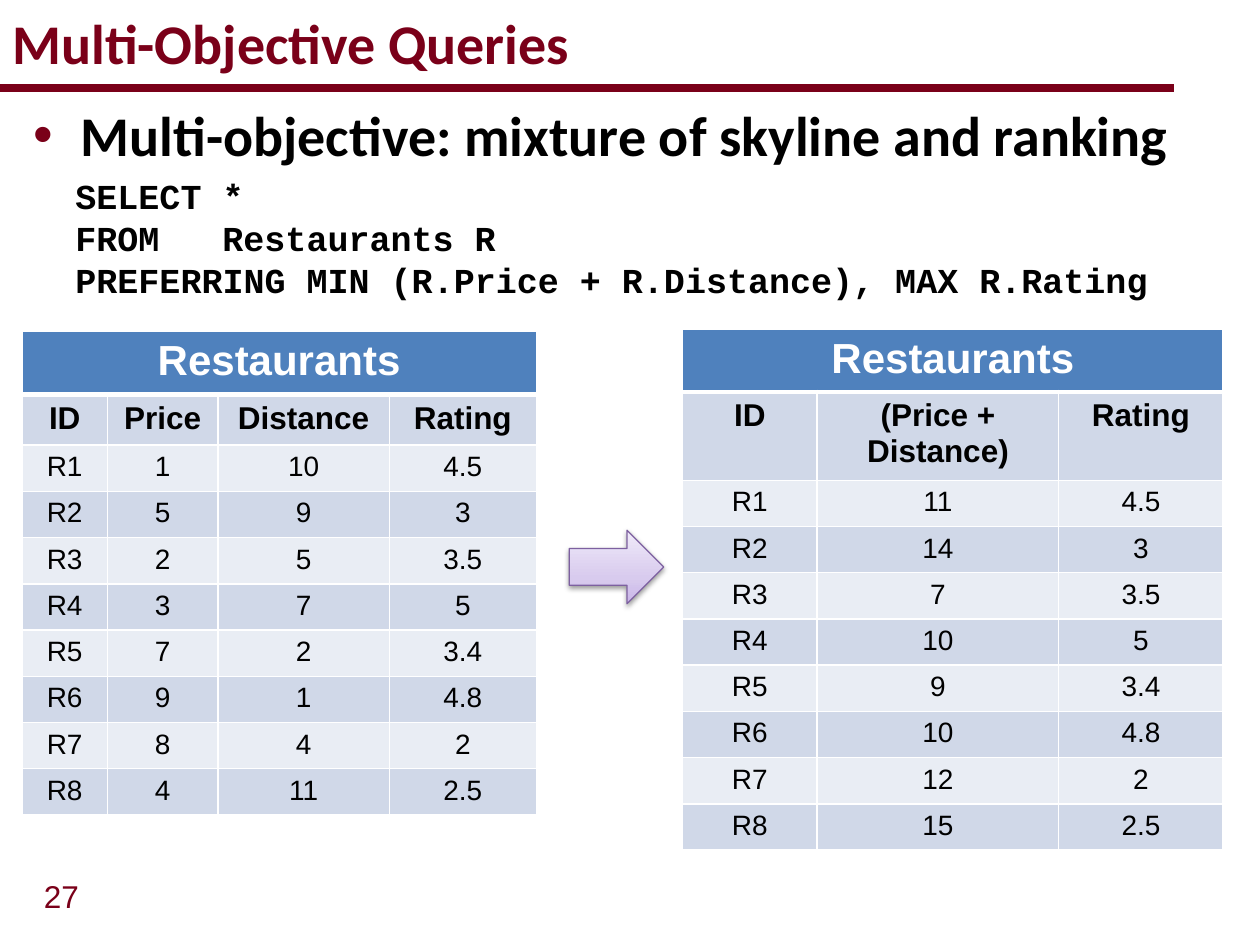
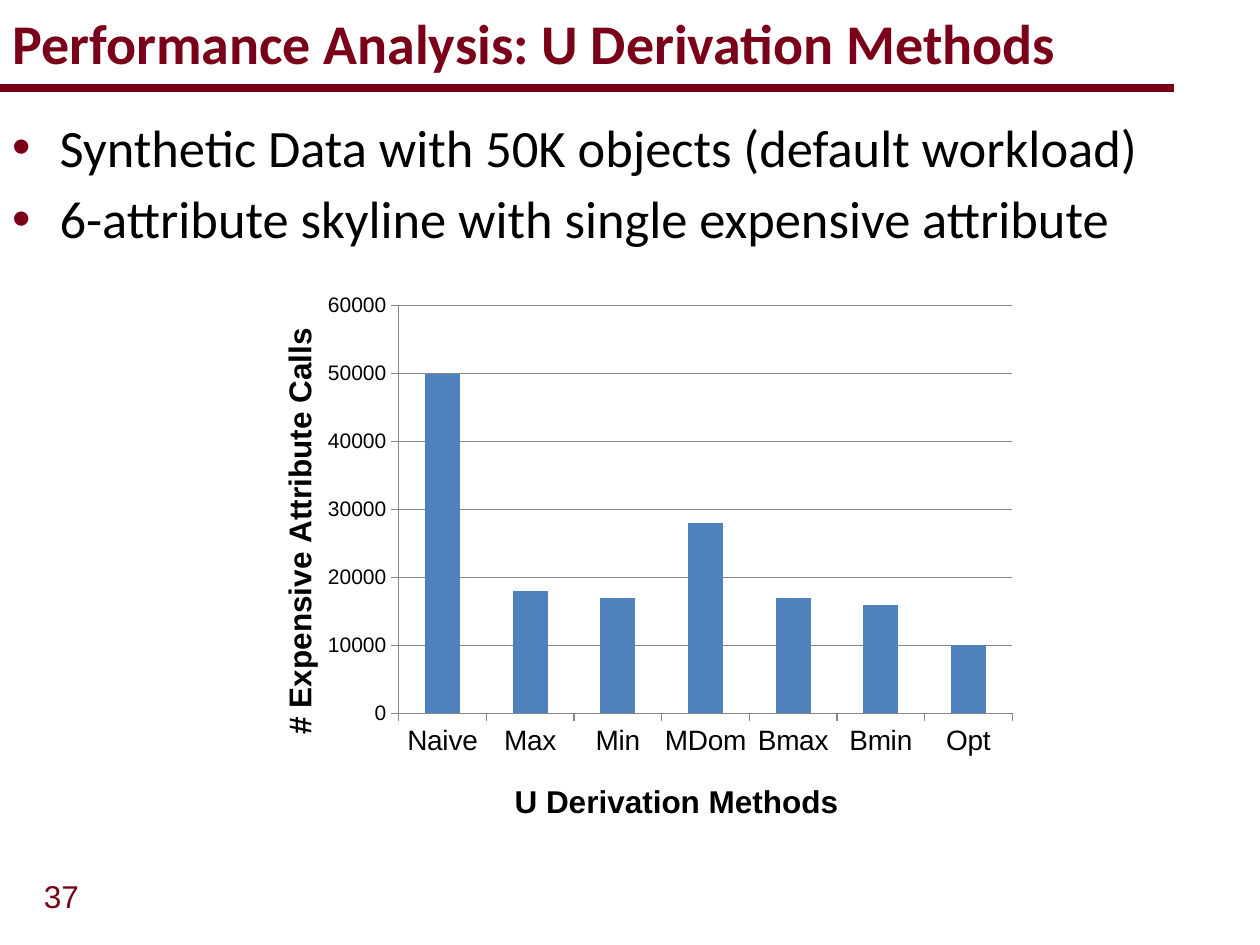
"""Build two slides on skyline queries: a table comparison and a bar chart."""
from copy import deepcopy

from lxml import etree
from pptx import Presentation
from pptx.chart.data import CategoryChartData
from pptx.dml.color import RGBColor
from pptx.enum.chart import XL_CHART_TYPE, XL_TICK_MARK
from pptx.enum.shapes import MSO_CONNECTOR, MSO_SHAPE
from pptx.enum.text import MSO_ANCHOR, PP_ALIGN
from pptx.oxml.ns import qn
from pptx.util import Pt

COLUMN_CHART = XL_CHART_TYPE.COLUMN_CLUSTERED
TICK_OUTSIDE = XL_TICK_MARK.OUTSIDE
STRAIGHT = MSO_CONNECTOR.STRAIGHT
RIGHT_ARROW = MSO_SHAPE.RIGHT_ARROW
TOP, MIDDLE = MSO_ANCHOR.TOP, MSO_ANCHOR.MIDDLE
CENTER = PP_ALIGN.CENTER

MAROON = RGBColor(0x7A, 0x00, 0x19)
BLACK = RGBColor(0x00, 0x00, 0x00)
WHITE = RGBColor(0xFF, 0xFF, 0xFF)
BLUE = RGBColor(0x4F, 0x81, 0xBD)
BAND_DARK = RGBColor(0xD0, 0xD8, 0xE8)
BAND_LIGHT = RGBColor(0xE9, 0xED, 0xF4)
GRAY = RGBColor(0x86, 0x86, 0x86)
PURPLE = RGBColor(0x7D, 0x60, 0xA0)
ARROW_STOPS = [
    (0, RGBColor(0xC9, 0xB5, 0xE8)),
    (0.35, RGBColor(0xD8, 0xCB, 0xEE)),
    (1, RGBColor(0xF0, 0xEA, 0xF9)),
]

TITLE = {"name": "Calibri", "size": Pt(32), "bold": True}
HEADLINE = {"name": "Calibri", "size": Pt(32), "bold": True}
BODY = {"name": "Calibri", "size": Pt(30), "bold": False}
CODE = {"name": "Courier New", "size": Pt(20), "bold": True}
NUMBER = {"name": "Arial", "size": Pt(18), "bold": False}
TABLE_TITLE = {"name": "Arial", "size": Pt(24), "bold": True}
TABLE_HEAD = {"name": "Arial", "size": Pt(18), "bold": True}
TABLE_CELL = {"name": "Arial", "size": Pt(16), "bold": False}


def add_text(slide, box, lines, style, color=BLACK, anchor=TOP, wrap=True, bullet=False):
    """Add a text box with one paragraph per line."""
    frame = slide.shapes.add_textbox(*map(Pt, box)).text_frame
    frame.word_wrap = wrap
    frame.vertical_anchor = anchor
    for index, line in enumerate(lines):
        paragraph = frame.add_paragraph() if index else frame.paragraphs[0]
        run = paragraph.add_run()
        run.text = line
        run.font.color.rgb = color
        for name, value in style.items():
            setattr(run.font, name, value)
        if bullet:
            paragraph.space_before = Pt(5)
            properties = paragraph._p.get_or_add_pPr()
            properties.set("marL", str(Pt(27)))
            properties.set("indent", str(-Pt(27)))
            bullet_color = etree.SubElement(properties, qn("a:buClr"))
            etree.SubElement(bullet_color, qn("a:srgbClr"), val=str(MAROON))
            etree.SubElement(properties, qn("a:buFont"), typeface="Arial")
            etree.SubElement(properties, qn("a:buChar"), char="•")


def set_layout(parent, index, **values):
    """Place a chart part by fractions of the chart area."""
    for old_layout in parent.findall(qn("c:layout")):
        parent.remove(old_layout)
    layout = etree.Element(qn("c:layout"))
    manual = etree.SubElement(layout, qn("c:manualLayout"))
    for name, value in values.items():
        etree.SubElement(manual, qn(f"c:{name}"), val=str(value))
    parent.insert(index, layout)


presentation = Presentation()
presentation.slide_width = Pt(720)
presentation.slide_height = Pt(540)

slides = []
for title, number in [
    ("Multi-Objective Queries", "27"),
    ("Performance Analysis: U Derivation Methods", "37"),
]:
    slide = presentation.slides.add_slide(presentation.slide_layouts[6])
    add_text(slide, (18, 497.5, 37, 29), [number], NUMBER, MAROON, wrap=False)
    rule = slide.shapes.add_connector(STRAIGHT, Pt(0), Pt(50.4), Pt(671), Pt(50.4))
    rule.line.color.rgb = MAROON
    rule.line.width = Pt(4.5)
    etree.SubElement(rule._element.spPr, qn("a:effectLst"))
    add_text(slide, (0, 0, 684, 48), [title], TITLE, MAROON, MIDDLE)
    slides.append(slide)
query_slide, analysis_slide = slides

add_text(query_slide, (36, 96, 663, 80), [
    "SELECT *",
    "FROM \t Restaurants R",
    "PREFERRING MIN (R.Price + R.Distance), MAX R.Rating",
], CODE)
add_text(query_slide, (12, 54, 696, 48),
         ["Multi-objective: mixture of skyline and ranking"], HEADLINE, bullet=True)

restaurants = [
    ("R1", 1, 10, 4.5), ("R2", 5, 9, 3), ("R3", 2, 5, 3.5), ("R4", 3, 7, 5),
    ("R5", 7, 2, 3.4), ("R6", 9, 1, 4.8), ("R7", 8, 4, 2), ("R8", 4, 11, 2.5),
]
combined = [(name, price + distance, rating) for name, price, distance, rating in restaurants]

for left, top, widths, head, records in [
    (12.5, 189.5, (49, 63, 98, 84), ("ID", "Price", "Distance", "Rating"), restaurants),
    (390, 188, (77, 138, 94), ("ID", "(Price + Distance)", "Rating"), combined),
]:
    title_row = ("Restaurants",) + ("",) * (len(head) - 1)
    rows = [title_row, head, *records]
    heights = [28.8] + [26.4] * (len(rows) - 1)
    table = query_slide.shapes.add_table(
        len(rows), len(head), Pt(left), Pt(top), Pt(sum(widths)), Pt(sum(heights))).table
    for column, width in zip(table.columns, widths):
        column.width = Pt(width)
    for row, height in zip(table.rows, heights):
        row.height = Pt(height)
    table.cell(0, 0).merge(table.cell(0, len(head) - 1))
    for row_index, row in enumerate(rows):
        style = {0: TABLE_TITLE, 1: TABLE_HEAD}.get(row_index, TABLE_CELL)
        fill = BLUE if row_index == 0 else BAND_DARK if row_index % 2 else BAND_LIGHT
        for column_index, value in enumerate(row):
            cell = table.cell(row_index, column_index)
            for side in "LRTB":
                thick = (row_index, side) in ((0, "B"), (1, "T"))
                border = etree.SubElement(cell._tc.get_or_add_tcPr(), qn(f"a:ln{side}"),
                                          w=str(Pt(3 if thick else 1)))
                border_fill = etree.SubElement(border, qn("a:solidFill"))
                etree.SubElement(border_fill, qn("a:srgbClr"), val=str(WHITE))
            cell.fill.solid()
            cell.fill.fore_color.rgb = fill
            if value == "":
                continue
            paragraph = cell.text_frame.paragraphs[0]
            paragraph.alignment = CENTER
            run = paragraph.add_run()
            run.text = str(value)
            run.font.color.rgb = BLACK if row_index else WHITE
            for name, setting in style.items():
                setattr(run.font, name, setting)

arrow = query_slide.shapes.add_shape(RIGHT_ARROW, Pt(325.3), Pt(303), Pt(54), Pt(42))
arrow.line.color.rgb = PURPLE
arrow.line.width = Pt(0.75)
arrow.fill.gradient()
arrow.fill.gradient_angle = 90
stop_list = arrow._element.spPr.find(qn("a:gradFill")).find(qn("a:gsLst"))
stop_list.insert(1, deepcopy(stop_list[0]))
for stop, (position, color) in zip(arrow.fill.gradient_stops, ARROW_STOPS):
    stop.position = position
    stop.color.rgb = color
arrow.shadow.inherit = False
shadow = etree.SubElement(
    arrow._element.spPr.find(qn("a:effectLst")), qn("a:outerShdw"),
    blurRad=str(Pt(3.1)), dist=str(Pt(1.6)), dir="5400000", rotWithShape="0")
shadow_color = etree.SubElement(shadow, qn("a:srgbClr"), val=str(BLACK))
etree.SubElement(shadow_color, qn("a:alpha"), val="38000")

add_text(analysis_slide, (0, 62, 720, 54), [
    "Synthetic Data with 50K objects (default workload)",
    "6-attribute skyline with single expensive attribute",
], BODY, bullet=True)

chart_data = CategoryChartData()
chart_data.categories = ["Naive", "Max", "Min", "MDom", "Bmax", "Bmin", "Opt"]
chart_data.add_series("Series 1", (50000, 18000, 17000, 28000, 17000, 16000, 10000))
chart = analysis_slide.shapes.add_chart(
    COLUMN_CHART, Pt(138), Pt(162), Pt(449.5), Pt(319), chart_data).chart
chart.has_legend = False
chart.has_title = False
chart.font.name = "Arial"
chart.font.size = Pt(10)
chart.font.color.rgb = BLACK
plot = chart.plots[0]
plot.gap_width = 150
plot.vary_by_categories = False
plot.series[0].format.fill.solid()
plot.series[0].format.fill.fore_color.rgb = BLUE
set_layout(chart._chartSpace.chart.plotArea, 0, layoutTarget="inner", xMode="edge",
           yMode="edge", x=0.2, y=0.04, w=0.78, h=0.73)

for axis, title, size, x, y in [
    (chart.category_axis, "U Derivation Methods", 16, 0.34, 0.88),
    (chart.value_axis, "# Expensive Attribute Calls", 12, 0.04, 0.07),
]:
    axis.major_tick_mark = TICK_OUTSIDE
    axis.tick_labels.font.size = Pt(size)
    axis.format.line.color.rgb = GRAY
    run = axis.axis_title.text_frame.paragraphs[0].add_run()
    run.text = title
    run.font.color.rgb = BLACK
    for name, setting in TABLE_HEAD.items():
        setattr(run.font, name, setting)
    set_layout(axis.axis_title._element, 1, xMode="edge", yMode="edge", x=x, y=y)

value_axis = chart.value_axis
value_axis.minimum_scale = 0
value_axis.maximum_scale = 60000
value_axis.major_unit = 10000
value_axis.has_major_gridlines = True
value_axis.major_gridlines.format.line.color.rgb = GRAY
title_body = value_axis.axis_title.text_frame._txBody.find(qn("a:bodyPr"))
title_body.set("rot", "-5400000")
title_body.set("vert", "horz")

presentation.save("out.pptx")
